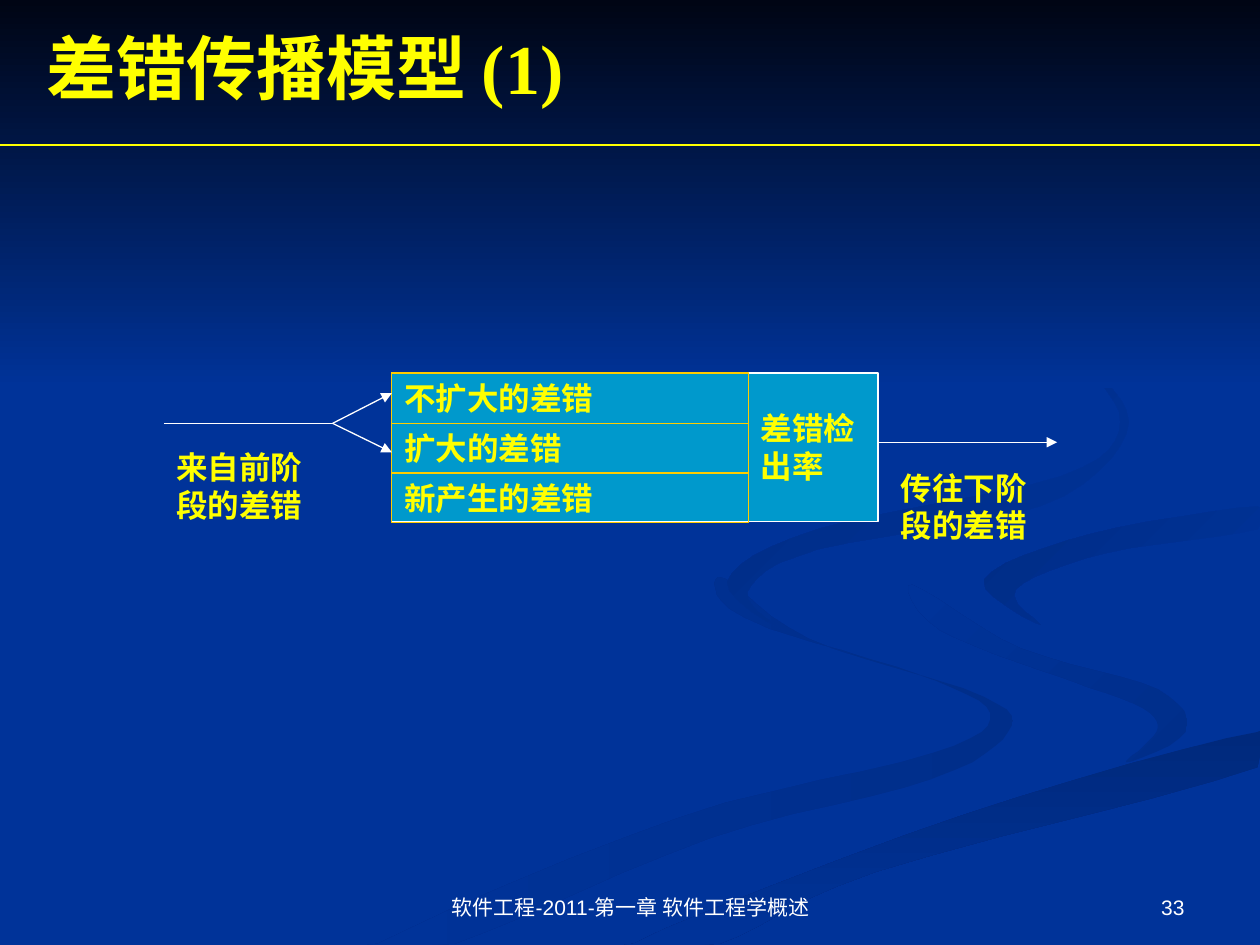
from lxml import etree
from pptx import Presentation
from pptx.dml.color import RGBColor
from pptx.enum.shapes import MSO_CONNECTOR, MSO_SHAPE
from pptx.enum.text import MSO_ANCHOR, PP_ALIGN
from pptx.oxml.ns import qn
from pptx.util import Pt

PX = 9144
WIDTH, HEIGHT = 1000, 750
LEFT, CENTER, RIGHT = PP_ALIGN.LEFT, PP_ALIGN.CENTER, PP_ALIGN.RIGHT
TOP, MIDDLE, BOTTOM = MSO_ANCHOR.TOP, MSO_ANCHOR.MIDDLE, MSO_ANCHOR.BOTTOM
RECTANGLE, STRAIGHT = MSO_SHAPE.RECTANGLE, MSO_CONNECTOR.STRAIGHT
NAVY, YELLOW, GOLD, WHITE, CYAN = "003399", "FFFF00", "FFCC00", "FFFFFF", "0099CC"
SERIF, SANS = "Times New Roman", "Arial"

color = RGBColor.from_string


def write(shape, text, size, font, ink, align=LEFT, anchor=TOP):
    frame = shape.text_frame
    frame.word_wrap = True
    frame.vertical_anchor = anchor
    paragraph = frame.paragraphs[0]
    paragraph.text = text
    paragraph.alignment = align
    paragraph.font.size = Pt(size)
    paragraph.font.name = font
    paragraph.font.bold = font == SERIF
    paragraph.font.color.rgb = color(ink)


def shade(shape, start, end, angle):
    shape.shadow.inherit = False
    shape.line.fill.background()
    shape.fill.gradient()
    shape.fill.gradient_angle = (360 - angle) % 360
    for stop, tone in zip(shape.fill.gradient_stops, (start, end)):
        stop.color.rgb = color(tone)


prs = Presentation()
prs.slide_width, prs.slide_height = WIDTH * PX, HEIGHT * PX
slide = prs.slides.add_slide(prs.slide_layouts[6])
shapes = slide.shapes
slide.background.fill.solid()
slide.background.fill.fore_color.rgb = color(NAVY)

ribbons = [
    ("002E8A", NAVY, 180, [
        (575, 459), (572, 476), (611, 499), (728, 535), (786, 566), (739, 598),
        (539, 649), (300, 749), (361, 749), (564, 665), (740, 618), (800, 581),
        (781, 553), (642, 507)]),
    ("002E8A", NAVY, 225, [
        (724, 464), (746, 500), (838, 536), (907, 562), (918, 581), (894, 605),
        (941, 581), (919, 547), (811, 515)]),
    ("00297C", NAVY, 90, [
        (503, 749), (571, 749), (695, 692), (998, 609), (998, 581), (764, 647)]),
    (NAVY, "002C85", 225, [
        (781, 460), (826, 496), (806, 468), (878, 439), (998, 420), (998, 402),
        (865, 424)]),
    (NAVY, "002B81", 225, [
        (762, 233), (864, 291), (894, 344), (825, 402), (649, 436), (593, 470),
        (622, 500), (577, 462), (649, 420), (842, 378), (889, 335), (846, 279)]),
]
STEPS = 6
for start, end, angle, knots in ribbons:
    outline = []
    for i in range(len(knots)):
        before, here, ahead, beyond = (knots[(i + k) % len(knots)] for k in (-1, 0, 1, 2))
        for step in range(STEPS):
            t = step / STEPS
            x, y = (
                b + t * (c - a + t * (2 * a - 5 * b + 4 * c - d + t * (3 * b - a - 3 * c + d))) / 2
                for a, b, c, d in zip(before, here, ahead, beyond))
            outline.append((min(x, WIDTH), min(y, HEIGHT)))
    builder = shapes.build_freeform(*outline[0], scale=PX)
    builder.add_line_segments(outline[1:], close=True)
    shade(builder.convert_to_shape(), start, end, angle)

sky = shapes.add_shape(RECTANGLE, 0, 0, WIDTH * PX, 308 * PX)
shade(sky, "000514", NAVY, 90)

module = shapes.add_shape(RECTANGLE, 311 * PX, 296 * PX, 386 * PX, 118 * PX)
module.shadow.inherit = False
module.fill.solid()
module.fill.fore_color.rgb = color(CYAN)
module.line.color.rgb = color(WHITE)
module.line.width = Pt(0.75)

for row, error_kind in enumerate(["不扩大的差错", "扩大的差错", "新产生的差错"]):
    error_row = shapes.add_shape(
        RECTANGLE, 311 * PX, (296 + row * 40 - row // 2) * PX, 283 * PX, 40 * PX)
    error_row.shadow.inherit = False
    error_row.fill.background()
    error_row.line.color.rgb = color(GOLD)
    error_row.line.width = Pt(0.75)
    write(error_row, error_kind, 18, SERIF, YELLOW)

flows = [
    (0, 115, WIDTH, 115, YELLOW, False),
    (264, 336, 311, 312, WHITE, True),
    (264, 336, 311, 359, WHITE, True),
    (130, 336, 264, 336, WHITE, False),
    (697, 351, 839, 351, WHITE, True),
]
for x1, y1, x2, y2, ink, has_arrow in flows:
    flow = shapes.add_connector(STRAIGHT, x1 * PX, y1 * PX, x2 * PX, y2 * PX)
    flow.line.color.rgb = color(ink)
    flow.line.width = Pt(0.75)
    properties = flow._element.spPr
    if has_arrow:
        etree.SubElement(properties.find(qn("a:ln")), qn("a:tailEnd"), type="triangle")
    etree.SubElement(properties, qn("a:effectLst"))

captions = [
    (27, 13, 900, 79, "差错传播模型 (1)", 40, SERIF, YELLOW, LEFT, MIDDLE),
    (594, 320, 102, 70, "差错检出率", 18, SERIF, YELLOW),
    (130, 351, 142, 70, "来自前阶段的差错", 18, SERIF, YELLOW),
    (705, 367, 142, 70, "传往下阶段的差错", 18, SERIF, YELLOW),
    (342, 683, 317, 52, "软件工程-2011-第一章 软件工程学概述", 12, SANS, WHITE, CENTER, BOTTOM),
    (717, 683, 233, 52, "33", 12, SANS, WHITE, RIGHT, BOTTOM),
]
for x, y, width, height, *wording in captions:
    write(shapes.add_textbox(x * PX, y * PX, width * PX, height * PX), *wording)

prs.save("out.pptx")
